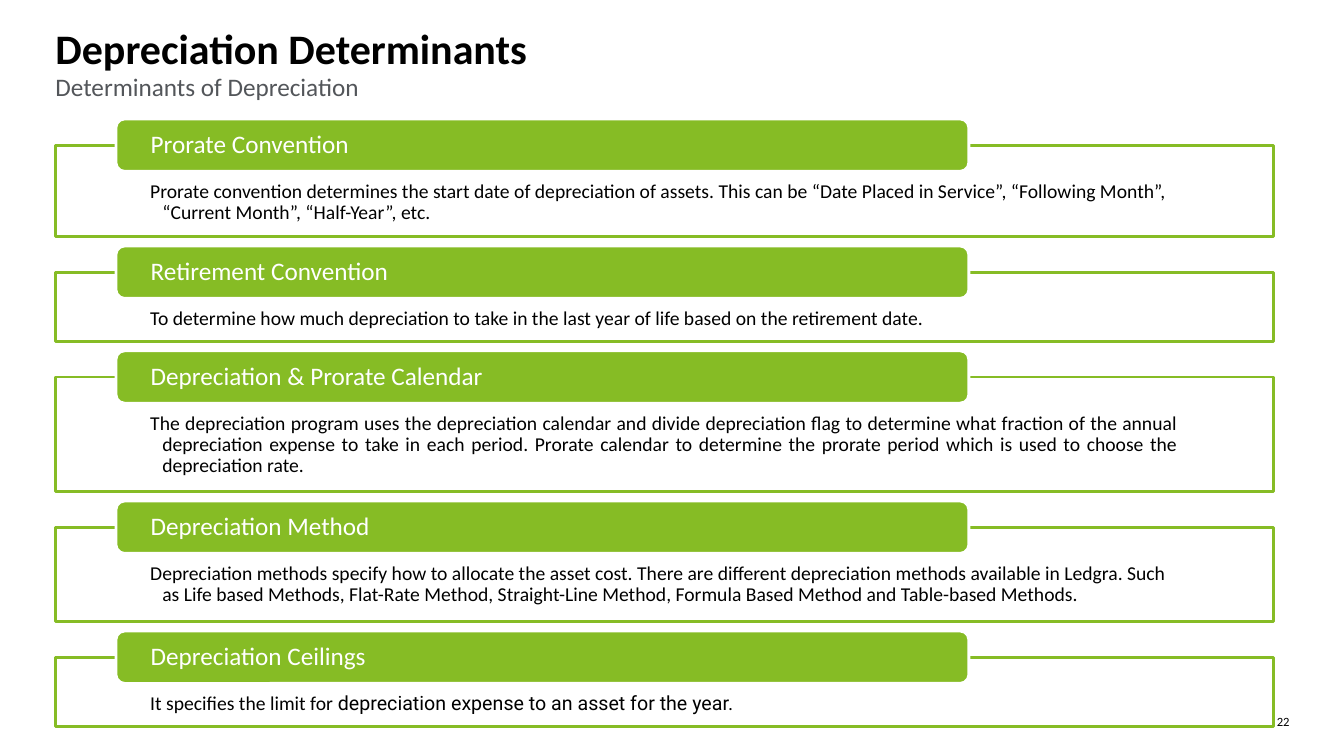
"""Build the slide on depreciation determinants."""
from lxml import etree
from pptx import Presentation
from pptx import util as u
from pptx.dml.color import RGBColor
from pptx.enum import shapes, text
from pptx.oxml import ns

WIDE, HIGH = 13.33, 7.5
LEFT, SPAN = 0.55, 12.08
HEAD = 12.24
TOP, GAP = 1.44, 0.35
TAB_IN, TAB_UP, TAB_W, TAB_H = 0.6, 0.26, 8.46, 0.52
HANG = 0.12

BLACK = RGBColor(0x00, 0x00, 0x00)
WHITE = RGBColor(0xFF, 0xFF, 0xFF)
GREEN = RGBColor(0x86, 0xBC, 0x25)
GREY = RGBColor(0x53, 0x56, 0x5A)

FLUSH, JUST = text.PP_ALIGN.LEFT, text.PP_ALIGN.JUSTIFY
UPPER, MID = text.MSO_ANCHOR.TOP, text.MSO_ANCHOR.MIDDLE

ITEMS = [
    ("Prorate Convention", 0.91, FLUSH,
     [("Prorate convention determines the start date of depreciation of assets. "
       "This can be “Date Placed in Service”, “Following Month”, "
       "“Current Month”, “Half-Year”, etc.", "Calibri")]),
    ("Retirement Convention", 0.69, FLUSH,
     [("To determine how much depreciation to take in the last year of life "
       "based on the retirement date.", "Calibri")]),
    ("Depreciation & Prorate Calendar", 1.14, JUST,
     [("The depreciation program uses the depreciation calendar and divide "
       "depreciation flag to determine what fraction of the annual depreciation "
       "expense to take in each period. Prorate calendar to determine the prorate "
       "period which is used to choose the depreciation rate.", "Calibri")]),
    ("Depreciation Method", 0.94, FLUSH,
     [("Depreciation methods specify how to allocate the asset cost. There are "
       "different depreciation methods available in Ledgra. Such as Life based "
       "Methods, Flat-Rate Method, Straight-Line Method, Formula Based Method "
       "and Table-based Methods.", "Calibri")]),
    ("Depreciation Ceilings", 0.69, FLUSH,
     [("It specifies the limit for ", "Calibri"),
      ("depreciation expense to an asset for the year.", "Roboto")]),
]


def write(shape, parts, size, color, inset=(0, 0, 0, 0), anchor=UPPER,
          align=FLUSH, bold=False):
    """Fill a shape with one paragraph of (words, font) parts and return it."""
    frame = shape.text_frame
    frame.word_wrap = True
    frame.vertical_anchor = anchor
    (frame.margin_left, frame.margin_top,
     frame.margin_right, frame.margin_bottom) = map(u.Inches, inset)
    para = frame.paragraphs[0]
    para.alignment = align
    for words, face in parts:
        run = para.add_run()
        run.text = words
        font = run.font
        font.name, font.size, font.bold = face, u.Pt(size), bold
        font.color.rgb = color
    return para


def label(slide, box, words, size, color, **look):
    """Add a plain text box."""
    shape = slide.shapes.add_textbox(*map(u.Inches, box))
    write(shape, [(words, "Calibri")], size, color, **look)


def block(slide, kind, box, fill, line):
    """Add a filled, outlined shape."""
    shape = slide.shapes.add_shape(kind, *map(u.Inches, box))
    shape.shadow.inherit = False
    shape.fill.solid()
    shape.fill.fore_color.rgb = fill
    shape.line.color.rgb = line
    shape.line.width = u.Pt(2)
    return shape


def panel(slide, top, high, align, parts):
    """Add the outlined panel with its hanging body text."""
    shape = block(slide, shapes.MSO_SHAPE.RECTANGLE,
                  (LEFT, top, SPAN, high), WHITE, GREEN)
    para = write(shape, parts, 14, BLACK, (0.94, 0.36, 0.94, 0.11), align=align)
    para.level = 1
    para.line_spacing = 0.9
    props = para._p.get_or_add_pPr()
    props.set("marL", str(u.Inches(HANG)))
    props.set("indent", str(-u.Inches(HANG)))
    etree.SubElement(props, ns.qn("a:buNone"))


def tab(slide, top, title):
    """Add the green title tab over a panel's upper edge."""
    shape = block(slide, shapes.MSO_SHAPE.ROUNDED_RECTANGLE,
                  (LEFT + TAB_IN, top - TAB_UP, TAB_W, TAB_H), GREEN, WHITE)
    para = write(shape, [(title, "Calibri")], 18, WHITE, (0.32, 0, 0.32, 0), MID)
    para.line_spacing = 0.9


def main():
    """Lay out the heading and the stack of panels."""
    deck = Presentation()
    deck.slide_width, deck.slide_height = u.Inches(WIDE), u.Inches(HIGH)
    slide = deck.slides.add_slide(deck.slide_layouts[6])
    label(slide, (12.45, 7.08, 0.34, 0.15), "22", 9, BLACK,
          align=text.PP_ALIGN.RIGHT)
    label(slide, (LEFT, 0.29, HEAD, 0.37), "Depreciation Determinants", 30,
          BLACK, anchor=MID, bold=True)
    label(slide, (LEFT, 0.71, HEAD, 0.47), "Determinants of Depreciation", 18, GREY)
    top = TOP
    for title, high, align, parts in ITEMS:
        panel(slide, top, high, align, parts)
        tab(slide, top, title)
        top += high + GAP
    deck.save("out.pptx")


if __name__ == "__main__":
    main()
